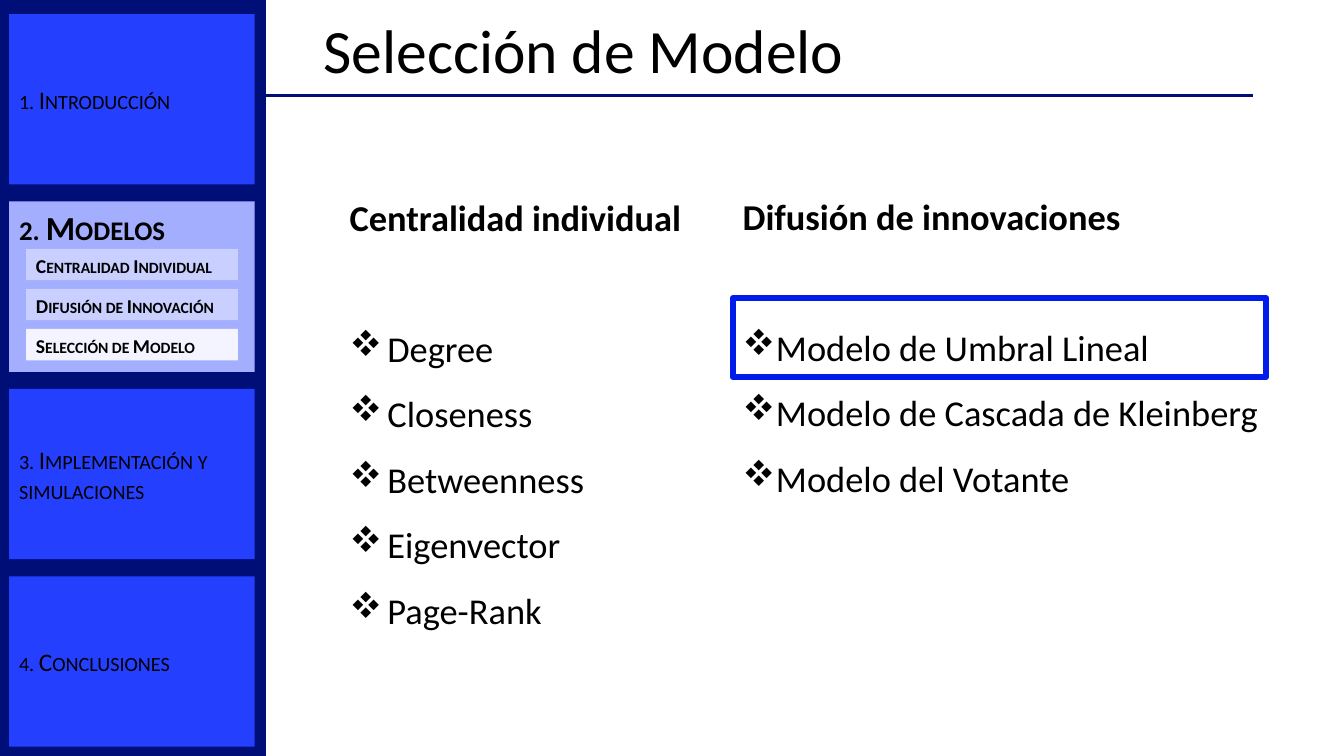
from lxml import etree
from pptx import Presentation
from pptx import util as u
from pptx.dml.color import RGBColor
from pptx.enum import shapes, text
from pptx.oxml.ns import qn

Pt = u.Pt
FONT = "Calibri"
COLORS = {
    "navy": "000E77", "section": "253FFF", "active": "A3AEFF",
    "topic": "C9CFFF", "current": "F3F4FF", "frame": "001CEA", "text": "000000",
}


class SlideBuilder:
    def __init__(self, slide):
        self.slide = slide

    def color(self, name):
        return RGBColor.from_string(COLORS[name])

    def add_words(self, paragraph, words, size, bold=False, small_caps=False):
        run = paragraph.add_run()
        run.text = words
        run.font.name = FONT
        run.font.size = Pt(size)
        run.font.bold = bold
        run.font.color.rgb = self.color("text")
        if small_caps:
            run.font._element.set("cap", "small")

    def rectangle(self, left, top, width, height, fill=None, line=None, line_width=0):
        shape = self.slide.shapes.add_shape(
            shapes.MSO_SHAPE.RECTANGLE, Pt(left), Pt(top), Pt(width), Pt(height))
        shape.shadow.inherit = False
        if fill:
            shape.fill.solid()
            shape.fill.fore_color.rgb = self.color(fill)
        else:
            shape.fill.background()
        if line:
            shape.line.color.rgb = self.color(line)
            shape.line.width = Pt(line_width)
        else:
            shape.line.fill.background()
        return shape

    def menu_item(self, words, box, fill, size, bold=False, anchor=text.MSO_ANCHOR.TOP):
        frame = self.rectangle(*box, fill=fill).text_frame
        frame.word_wrap = True
        frame.vertical_anchor = anchor
        paragraph = frame.paragraphs[0]
        paragraph.alignment = text.PP_ALIGN.LEFT
        self.add_words(paragraph, words, size, bold, small_caps=True)

    def rule(self, left, right, top, color, width):
        line = self.slide.shapes.add_connector(
            shapes.MSO_CONNECTOR.STRAIGHT, Pt(left), Pt(top), Pt(right), Pt(top))
        line.line.color.rgb = self.color(color)
        line.line.width = Pt(width)
        etree.SubElement(line._element.spPr, qn("a:effectLst"))

    def text_box(self, left, top, width, height, wrap=True):
        shape = self.slide.shapes.add_textbox(Pt(left), Pt(top), Pt(width), Pt(height))
        shape.text_frame.word_wrap = wrap
        return shape.text_frame

    def title(self, words, box):
        frame = self.text_box(*box)
        frame.vertical_anchor = text.MSO_ANCHOR.MIDDLE
        frame.paragraphs[0].line_spacing = 0.9
        self.add_words(frame.paragraphs[0], words, 44)

    def bullet(self, paragraph, indent):
        properties = paragraph._p.get_or_add_pPr()
        properties.set("marL", str(Pt(indent)))
        properties.set("indent", str(-Pt(indent)))
        etree.SubElement(properties, qn("a:buFont"), typeface="Wingdings")
        etree.SubElement(properties, qn("a:buChar"), char="v")

    def bullet_list(self, heading, items, box, indent):
        frame = self.text_box(*box, wrap=False)
        paragraph = frame.paragraphs[0]
        paragraph.line_spacing = 1.5
        self.add_words(paragraph, heading, 26, bold=True)
        for index, item in enumerate(items):
            paragraph = frame.add_paragraph()
            paragraph.line_spacing = 1.5
            if index == 0:
                paragraph.space_before = Pt(46.7)
            self.bullet(paragraph, indent)
            self.add_words(paragraph, item, 26)


presentation = Presentation()
presentation.slide_width = Pt(960)
presentation.slide_height = Pt(540)
builder = SlideBuilder(presentation.slides.add_slide(presentation.slide_layouts[6]))

# Sidebar, title and rule
builder.rectangle(0, 0, 190, 540, fill="navy")
builder.rule(188.6, 895, 68.4, "navy", 2.25)
builder.title("Selección de Modelo", (224, 0, 682, 76))

# Sections of the sidebar
sections = ["1. Introducción", "2. Modelos", "3. Implementación y simulaciones",
            "4. Conclusiones"]
for index, section in enumerate(sections):
    box = (6.5, 10 + 133.9 * index, 175.5, 121.7)
    if section == "2. Modelos":
        builder.menu_item(section, box, "active", 24, bold=True)
    else:
        builder.menu_item(section, box, "section", 18, anchor=text.MSO_ANCHOR.MIDDLE)

# Topics of the active section
topics = ["Centralidad Individual", "Difusión de Innovación", "Selección de Modelo"]
for index, topic in enumerate(topics):
    fill = "current" if topic == "Selección de Modelo" else "topic"
    builder.menu_item(topic, (18.6, 177.8 + 28.6 * index, 151.4, 22.4), fill, 14, bold=True)

# Model lists
builder.bullet_list(
    "Centralidad individual",
    ["Degree", "Closeness", "Betweenness", "Eigenvector", "Page-Rank"],
    (242.6, 120.2, 254, 333.4), indent=27)
builder.bullet_list(
    "Difusión de innovaciones",
    ["Modelo de Umbral Lineal", "Modelo de Cascada de Kleinberg", "Modelo del Votante"],
    (523.4, 119.5, 385, 243.4), indent=21.5)

# Frame around the selected model
builder.rectangle(523.4, 213, 381, 56.2, line="frame", line_width=4.5)

presentation.save("out.pptx")
